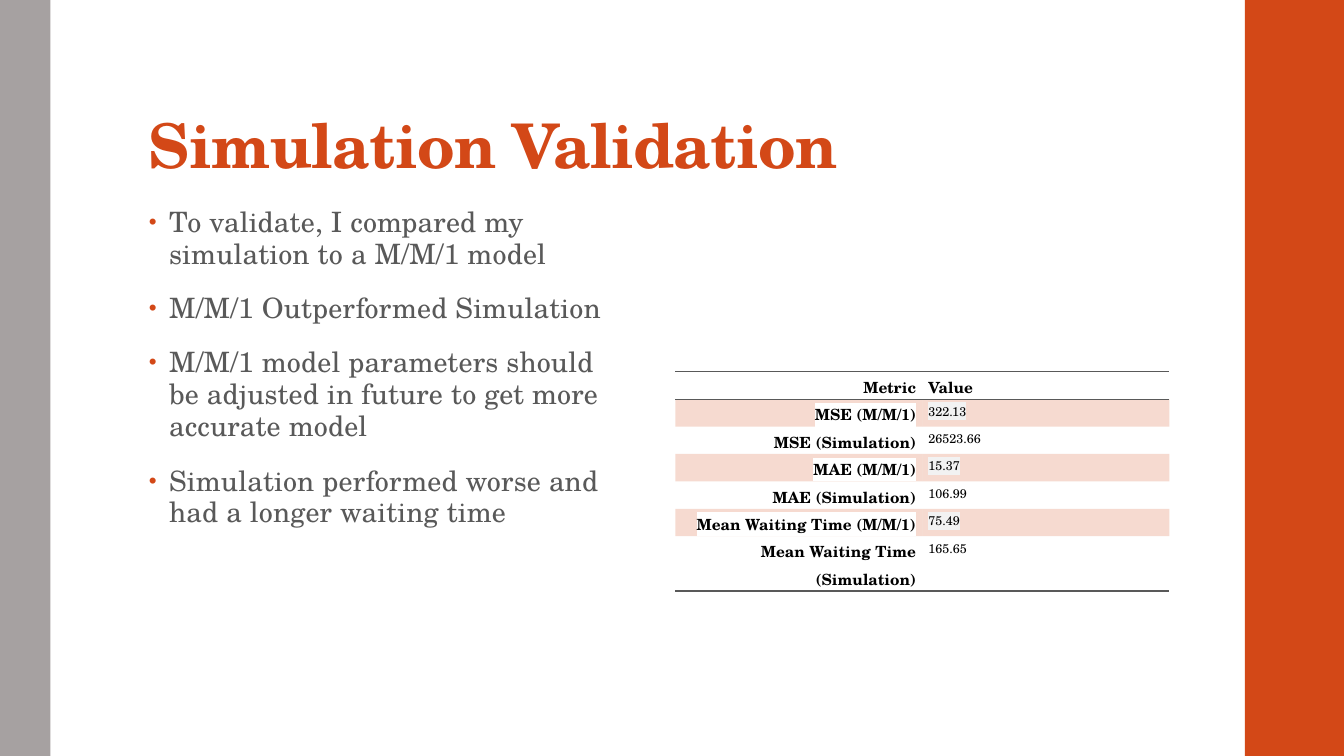
"""Build the Simulation Validation slide with its bullet list and metric table."""
from dataclasses import dataclass

from lxml.etree import SubElement
from pptx import Presentation
from pptx.dml.color import RGBColor
from pptx.enum.shapes import MSO_SHAPE
from pptx.enum.text import MSO_ANCHOR, PP_ALIGN
from pptx.oxml import parse_xml
from pptx.oxml.ns import nsdecls, qn
from pptx.util import Pt

TITLE = "Simulation Validation"
BULLETS = [
    "To validate, I compared my simulation to a M/M/1 model",
    "M/M/1 Outperformed Simulation",
    "M/M/1 model parameters should be adjusted in future to get more accurate model",
    "Simulation performed worse and had a longer waiting time",
]
METRICS = [
    ("Metric", "Value"),
    ("MSE (M/M/1)", "322.13"),
    ("MSE (Simulation)", "26523.66"),
    ("MAE (M/M/1)", "15.37"),
    ("MAE (Simulation)", "106.99"),
    ("Mean Waiting Time (M/M/1)", "75.49"),
    ("Mean Waiting Time (Simulation)", "165.65"),
]


@dataclass(frozen=True)
class Theme:
    """Hold the colours, the font and the type sizes."""
    font: str = "TeX Gyre Schola"
    accent: str = "D34817"
    side: str = "A6A1A1"
    body: str = "595959"
    ink: str = "000000"
    rule: str = "595959"
    label_mark: str = "FFFFFF"
    value_mark: str = "F2F2F2"
    title_size: int = 44
    body_size: int = 20
    label_size: int = 11
    value_size: int = 9


THEME = Theme()
WIDTH, HEIGHT = 960, 540
LEFT_BAND, RIGHT_BAND = 36, 70.8
TITLE_BOX = (99.36, 23.04, 763.2, 110.16)
BODY_BOX = (99.36, 144, 352.8, 342.72)
TABLE_LEFT, TABLE_TOP, TABLE_WIDTH = 482.4, 265.5, 352.8
LINE_HEIGHT = 19.6
ROW_LINES = [1] * (len(METRICS) - 1) + [2]
CELL_INSET = 4.3


def add_band(slide, left, width, color):
    band = slide.shapes.add_shape(MSO_SHAPE.RECTANGLE, Pt(left), 0, Pt(width), Pt(HEIGHT))
    band.shadow.inherit = False
    band.fill.solid()
    band.fill.fore_color.rgb = RGBColor.from_string(color)
    band.line.fill.background()


def add_frame(slide, box):
    frame = slide.shapes.add_textbox(*map(Pt, box)).text_frame
    frame.word_wrap = True
    return frame


def write(paragraph, text, size, color, bold, line_spacing, tracking=0):
    run = paragraph.add_run()
    run.text = text
    if tracking:
        run.font._element.set("spc", str(tracking))
    font = paragraph.font
    font.name, font.size, font.bold = THEME.font, Pt(size), bold
    font.color.rgb = RGBColor.from_string(color)
    paragraph.line_spacing = line_spacing
    return run


def add_bullet(paragraph):
    properties = paragraph._p.get_or_add_pPr()
    properties.set("marL", str(Pt(14.4)))
    properties.set("indent", str(-Pt(14.4)))
    color = SubElement(properties, qn("a:buClr"))
    SubElement(color, qn("a:srgbClr"), val=THEME.accent)
    SubElement(properties, qn("a:buSzPct"), val="80000")
    SubElement(properties, qn("a:buFont"), typeface="Arial")
    SubElement(properties, qn("a:buChar"), char="•")


def highlight(run, color):
    mark = SubElement(run.font._element, qn("a:highlight"))
    SubElement(mark, qn("a:srgbClr"), val=color)


def set_borders(cell, ruled_sides):
    properties = cell._tc.get_or_add_tcPr()
    for position, side in enumerate(ruled_sides):
        properties.insert(position, parse_xml(
            f'<a:ln{side} {nsdecls("a")} w="{Pt(1)}"><a:solidFill>'
            f'<a:srgbClr val="{THEME.rule}"/></a:solidFill></a:ln{side}>'))


def fill_cell(cell, striped):
    if not striped:
        cell.fill.background()
        return
    cell.fill.solid()
    cell.fill.fore_color.rgb = RGBColor.from_string(THEME.accent)
    color = cell._tc.tcPr.find(f'{qn("a:solidFill")}/{qn("a:srgbClr")}')
    SubElement(color, qn("a:alpha"), val="20000")


def add_metric_table(slide):
    graphic = slide.shapes.add_table(len(METRICS), 2, Pt(TABLE_LEFT), Pt(TABLE_TOP),
                                     Pt(TABLE_WIDTH), Pt(LINE_HEIGHT * sum(ROW_LINES)))
    table = graphic.table
    table.first_row = table.horz_banding = False
    style = table._tbl.tblPr.find(qn("a:tableStyleId"))
    style.text = "{2D5ABB26-0587-4C30-8999-92F81FD0307C}"
    last = len(METRICS) - 1
    for row, texts in enumerate(METRICS):
        table.rows[row].height = Pt(LINE_HEIGHT * ROW_LINES[row])
        striped = row % 2 == 1
        sides = {0: "TB", last: "B"}.get(row, "")
        for column, text in enumerate(texts):
            cell = table.cell(row, column)
            cell.margin_left = cell.margin_right = Pt(CELL_INSET)
            cell.margin_top = cell.margin_bottom = 0
            fill_cell(cell, striped)
            set_borders(cell, sides)
            is_label = row == 0 or column == 0
            size = THEME.label_size if is_label else THEME.value_size
            paragraph = cell.text_frame.paragraphs[0]
            paragraph.alignment = PP_ALIGN.LEFT if column else PP_ALIGN.RIGHT
            run = write(paragraph, text, size, THEME.ink, is_label, 1.15)
            if is_label:
                highlight(run, THEME.label_mark)
            elif striped:
                highlight(run, THEME.value_mark)


def main():
    presentation = Presentation()
    presentation.slide_width, presentation.slide_height = Pt(WIDTH), Pt(HEIGHT)
    slide = presentation.slides.add_slide(presentation.slide_layouts[6])
    add_band(slide, WIDTH - RIGHT_BAND, RIGHT_BAND, THEME.accent)
    add_band(slide, 0, LEFT_BAND, THEME.side)

    title = add_frame(slide, TITLE_BOX)
    title.vertical_anchor = MSO_ANCHOR.BOTTOM
    title.margin_top = Pt(2.2)
    write(title.paragraphs[0], TITLE, THEME.title_size, THEME.accent, True, 0.9, -50)

    body = add_frame(slide, BODY_BOX)
    for index, text in enumerate(BULLETS):
        paragraph = body.add_paragraph() if index else body.paragraphs[0]
        add_bullet(paragraph)
        write(paragraph, text, THEME.body_size, THEME.body, False, 0.95, 10)
        paragraph.space_before = Pt(14 if index else 0)
        paragraph.space_after = Pt(2)

    add_metric_table(slide)
    presentation.save("out.pptx")


if __name__ == "__main__":
    main()
